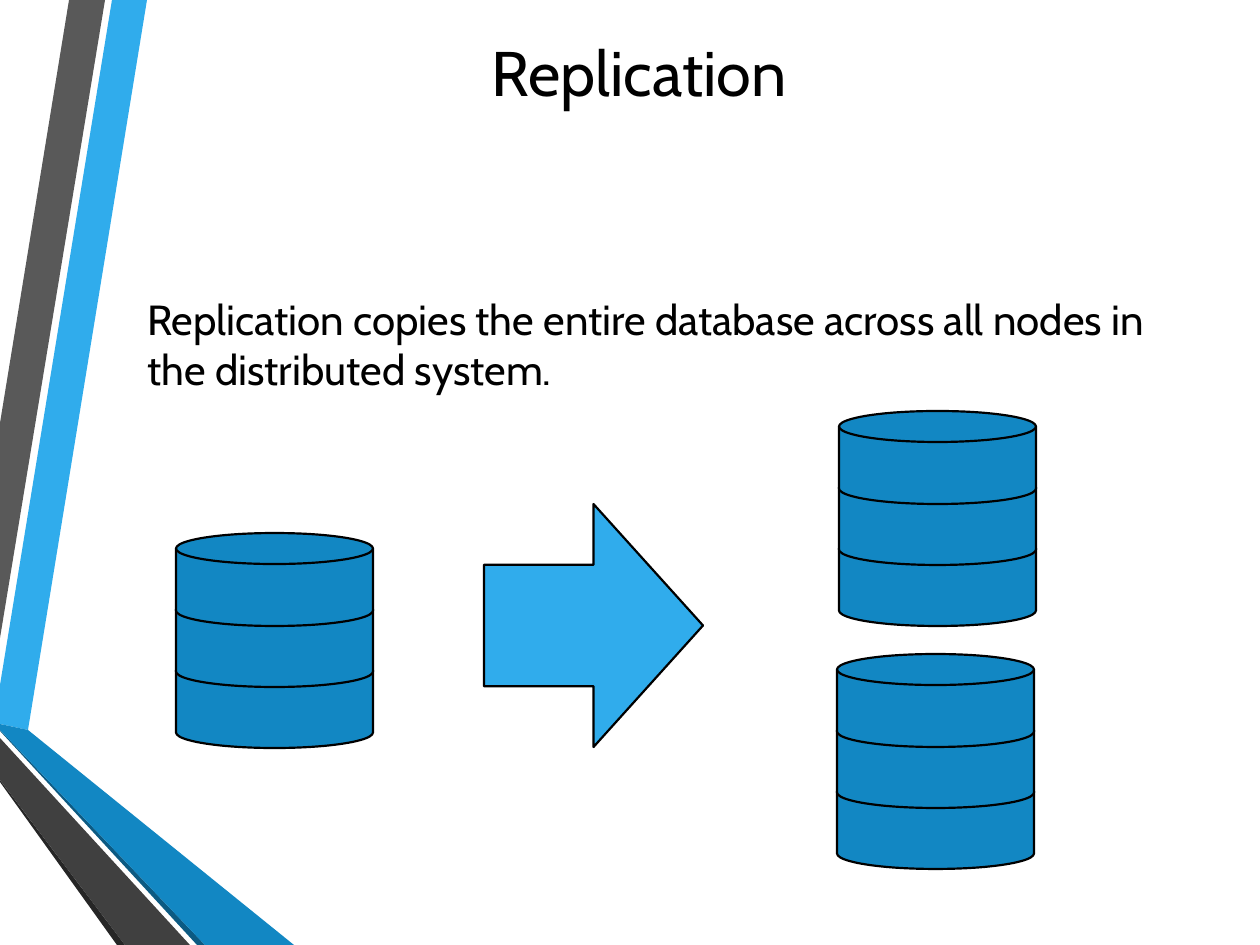
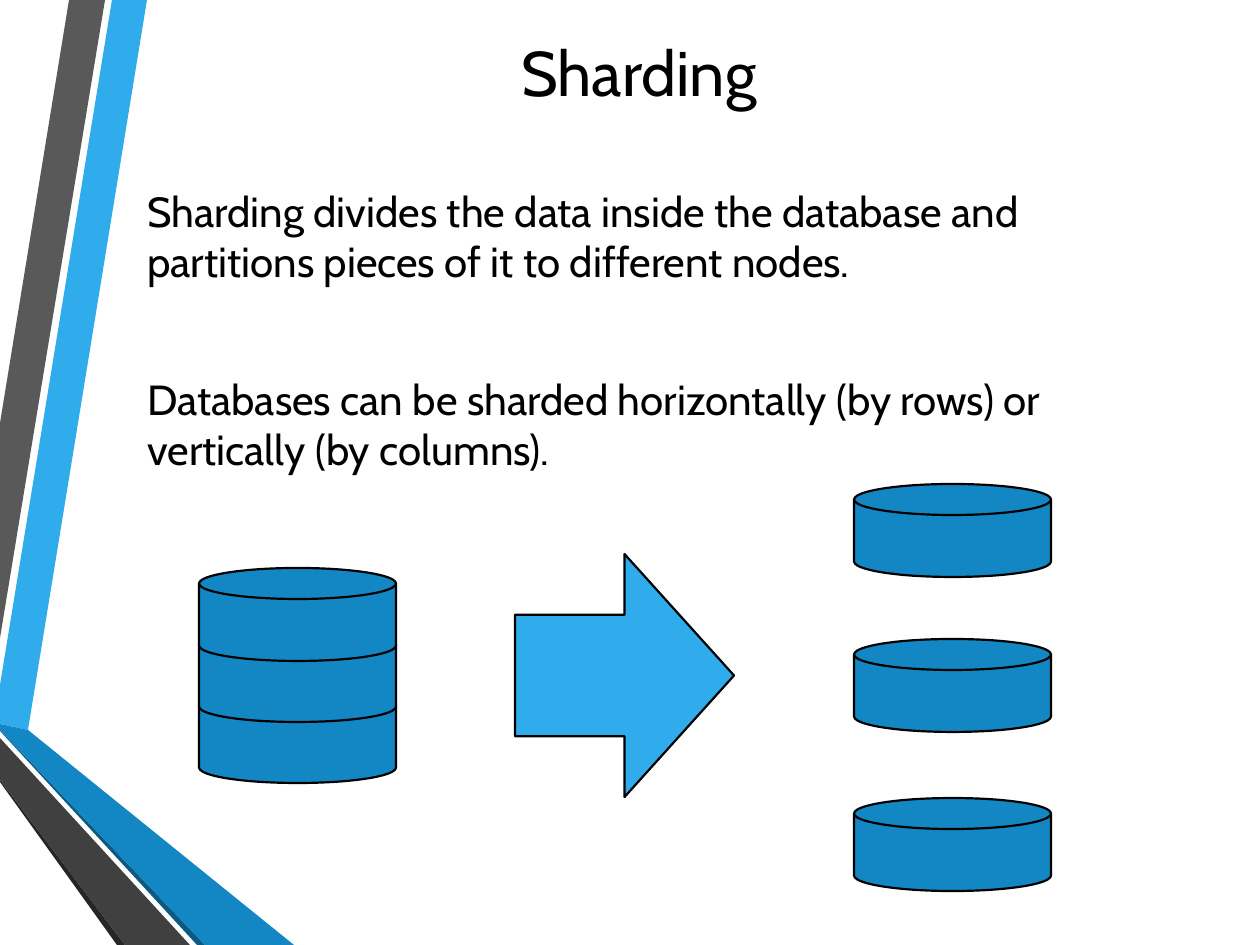
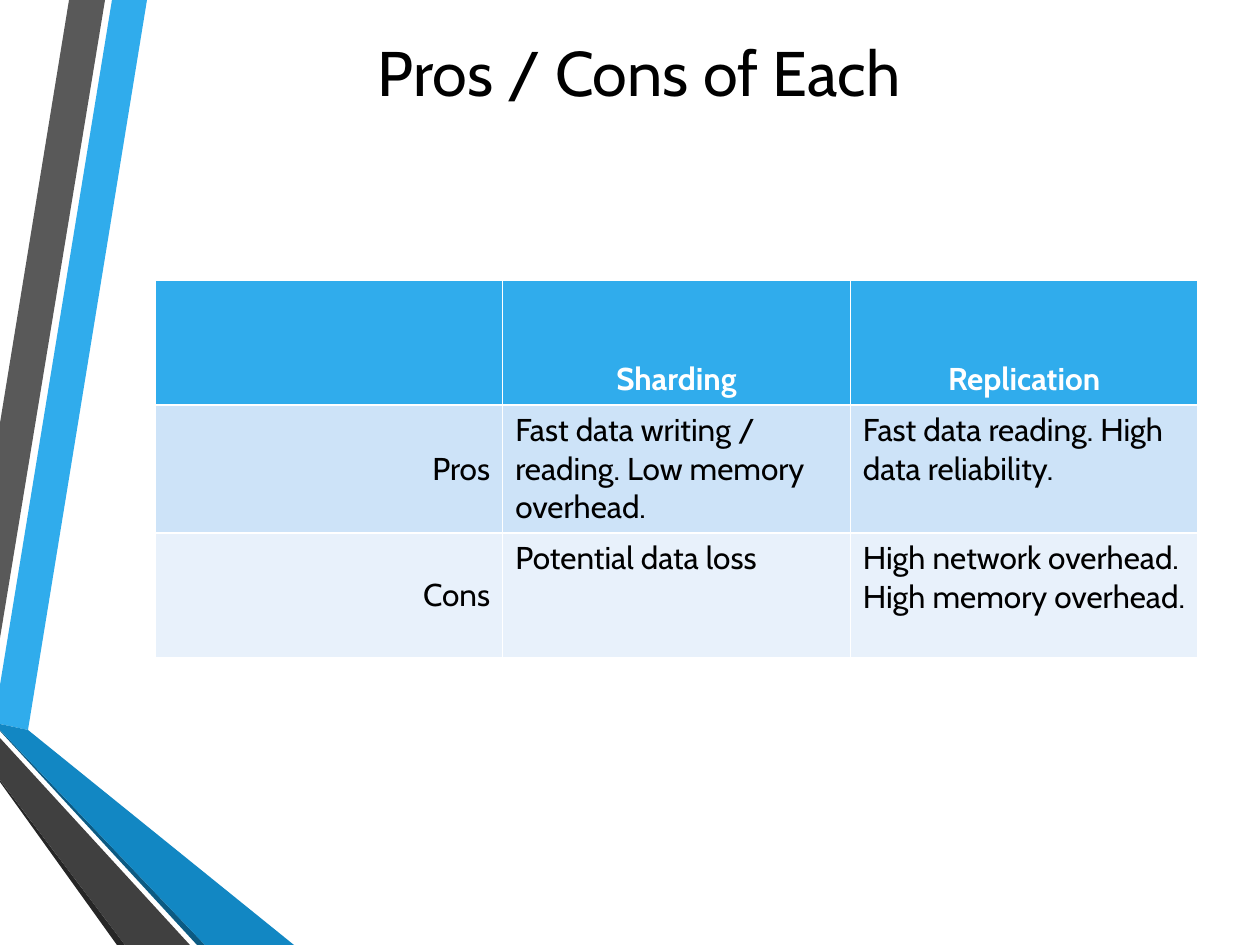
from pptx import Presentation
from pptx.dml.color import RGBColor
from pptx.enum.shapes import MSO_SHAPE
from pptx.enum.text import MSO_ANCHOR as ANCHOR, PP_ALIGN as ALIGN
from pptx.util import Pt

PX = 914400 / 126  # EMU in one px
WIDTH, HEIGHT = 1260, 945
FONT = "Cabin"
BLACK, WHITE = "000000", "FFFFFF"
SKY, BLUE, NAVY = "30ACEC", "1287C3", "0C5A82"

BANDS = [
    (SKY, [(0, 685), (0, 724), (28, 730), (147, 0), (112, 0)]),
    ("595959", [(105, 0), (69, 0), (0, 423), (0, 638)]),
    ("262626", [(0, 780), (0, 782), (117, HEIGHT), (125, HEIGHT)]),
    (NAVY, [(0, 730), (0, 731), (197, HEIGHT), (205, HEIGHT)]),
    (BLUE, [(0, 730), (205, HEIGHT), (294, HEIGHT), (28, 730), (0, 724)]),
    ("404040", [(0, 780), (125, HEIGHT), (190, HEIGHT), (0, 738)]),
]
TITLE_BOX = (108, 18, 1062, 107)
BODY_LEFT, BODY_SIZE = 135, (1070, 459)
ARROW_SIZE = (219, 243)
DISK_SIZE, DISK_STEP = (197, 93), 61

# Each stack is left, top, number of disks.
DIAGRAMS = [
    {
        "title": "Replication",
        "body_top": 287,
        "body": ["Replication copies the entire database across all nodes in the distributed system."],
        "arrow": (484, 504),
        "stacks": [(176, 533, 3), (839, 411, 3), (837, 654, 3)],
    },
    {
        "title": "Sharding",
        "body_top": 179,
        "body": [
            "Sharding divides the data inside the database and partitions pieces of it to different nodes.",
            "Databases can be sharded horizontally (by rows) or vertically (by columns).",
        ],
        "arrow": (515, 554),
        "stacks": [(199, 568, 3), (854, 484, 1), (854, 639, 1), (854, 798, 1)],
    },
]

TABLE_TITLE = "Pros / Cons of Each"
TABLE_BOX = (155, 280, 1043, 375)
ROWS = [
    ("", "Sharding", "Replication"),
    ("Pros", "Fast data writing / reading. Low memory overhead.",
     "Fast data reading. High data reliability."),
    ("Cons", "Potential data loss", "High network overhead. High memory overhead."),
]
ROW_FILLS = [SKY, "CDE3F8", "E8F1FB"]


def emu(*lengths):
    return [round(n * PX) for n in lengths]


def rgb(code):
    return RGBColor.from_string(code)


def paint(shape, fill, line=None):
    shape.shadow.inherit = False
    shape.fill.solid()
    shape.fill.fore_color.rgb = rgb(fill)
    if line:
        shape.line.color.rgb = rgb(line)
        shape.line.width = Pt(1.25)
    else:
        shape.line.fill.background()


def style(p, size, color=BLACK, bold=False, align=ALIGN.LEFT):
    p.alignment = align
    for r in p.runs:
        r.font.name, r.font.size, r.font.bold = FONT, Pt(size), bold
        r.font.color.rgb = rgb(color)


def add_bands(s, layout):
    """Draw the bands on a slide, then move them to its layout."""
    for fill, points in BANDS:
        builder = s.shapes.build_freeform(*points[0], scale=PX)
        builder.add_line_segments(points[1:], close=True)
        band = builder.convert_to_shape()
        paint(band, fill)
        layout.shapes.element.append(band.element)


def add_title(s, text):
    title = s.shapes.title
    title.left, title.top, title.width, title.height = emu(*TITLE_BOX)
    tf = title.text_frame
    tf.text = text
    tf.vertical_anchor = ANCHOR.MIDDLE
    style(tf.paragraphs[0], 36, align=ALIGN.CENTER)


def add_body(s, top, texts):
    tf = s.shapes.add_textbox(*emu(BODY_LEFT, top, *BODY_SIZE)).text_frame
    tf.word_wrap = True
    tf.text = "\n".join(texts)
    for p in tf.paragraphs:
        p.space_before, p.space_after = Pt(2), Pt(48)
        style(p, 24)


def add_figure(s, kind, left, top, size, fill):
    paint(s.shapes.add_shape(kind, *emu(left, top, *size)), fill, BLACK)


def add_stack(s, left, top, count):
    """Stack disks from the bottom up, so each covers the one below."""
    for i in reversed(range(count)):
        add_figure(s, MSO_SHAPE.FLOWCHART_MAGNETIC_DISK, left, top + i * DISK_STEP, DISK_SIZE, BLUE)


def add_comparison(s):
    table = s.shapes.add_table(len(ROWS), len(ROWS[0]), *emu(*TABLE_BOX)).table
    for i, row in enumerate(ROWS):
        for j, text in enumerate(row):
            cell = table.cell(i, j)
            cell.text = text
            cell.fill.solid()
            cell.fill.fore_color.rgb = rgb(ROW_FILLS[i])
            p = cell.text_frame.paragraphs[0]
            if i == 0:
                cell.vertical_anchor = ANCHOR.BOTTOM
                style(p, 18, WHITE, True, ALIGN.CENTER)
            elif j == 0:
                cell.vertical_anchor = ANCHOR.MIDDLE
                style(p, 18, align=ALIGN.RIGHT)
            else:
                style(p, 18)


def main():
    prs = Presentation()
    prs.slide_width, prs.slide_height = emu(WIDTH, HEIGHT)
    layout = prs.slide_layouts[5]

    for diagram in DIAGRAMS:
        s = prs.slides.add_slide(layout)
        add_title(s, diagram["title"])
        add_body(s, diagram["body_top"], diagram["body"])
        add_figure(s, MSO_SHAPE.RIGHT_ARROW, *diagram["arrow"], ARROW_SIZE, SKY)
        for stack in diagram["stacks"]:
            add_stack(s, *stack)

    s = prs.slides.add_slide(layout)
    add_title(s, TABLE_TITLE)
    add_comparison(s)
    add_bands(s, layout)
    prs.save("out.pptx")


if __name__ == "__main__":
    main()
